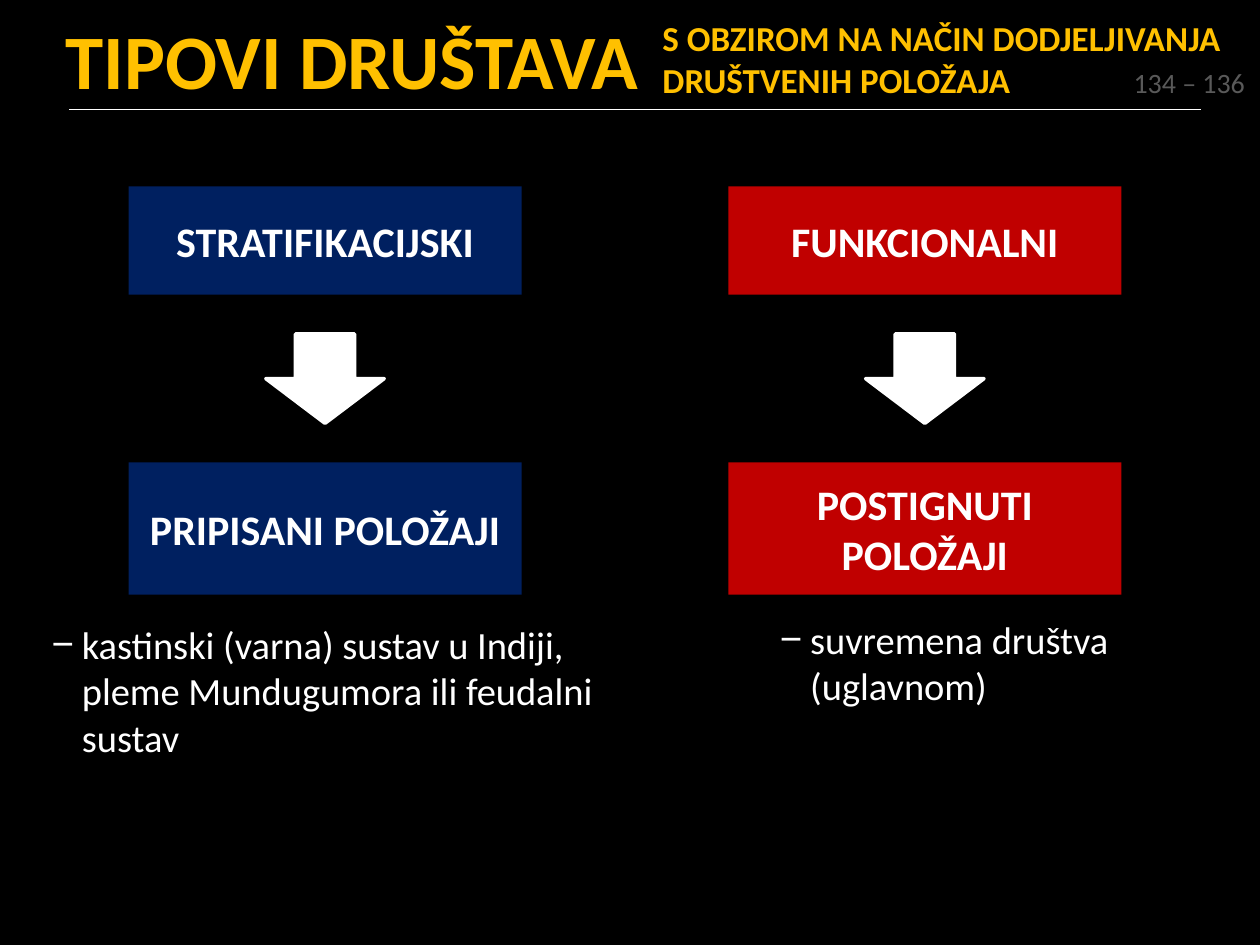
import dataclasses

import pptx
import pptx.dml.color
import pptx.enum.shapes
import pptx.enum.text
import pptx.util
from lxml import etree
from pptx.oxml.ns import qn

ALIGN = pptx.enum.text.PP_ALIGN
ANCHOR = pptx.enum.text.MSO_ANCHOR
AUTO_SIZE = pptx.enum.text.MSO_AUTO_SIZE
SHAPE = pptx.enum.shapes.MSO_SHAPE


@dataclasses.dataclass(frozen=True)
class Theme:
    font: str = "Calibri"
    background: str = "000000"
    light: str = "FFFFFF"
    accent: str = "FFC000"
    muted: str = "595959"
    stratified: str = "002060"
    functional: str = "C00000"
    title_size: int = 44
    box_size: int = 24
    list_size: int = 22
    subtitle_size: int = 20
    page_size: int = 16


class SlideBuilder:
    COLUMNS, ROWS = 100, 75

    def __init__(self, presentation, theme):
        self.theme = theme
        self.column = presentation.slide_width / self.COLUMNS
        self.row = presentation.slide_height / self.ROWS
        self.slide = presentation.slides.add_slide(presentation.slide_layouts[3])
        self.paint(self.slide.background.fill, theme.background)

    def area(self, left, top, width, height):
        return (round(left * self.column), round(top * self.row),
                round(width * self.column), round(height * self.row))

    def paint(self, fill, color):
        fill.solid()
        fill.fore_color.rgb = pptx.dml.color.RGBColor.from_string(color)

    def set_text(self, shape, text, size, color, bold=False, align=ALIGN.LEFT,
                 anchor=ANCHOR.MIDDLE, wrap=True):
        frame = shape.text_frame
        frame.text = text
        frame.word_wrap = wrap
        frame.auto_size = AUTO_SIZE.NONE
        frame.vertical_anchor = anchor
        paragraph = frame.paragraphs[0]
        paragraph.alignment = align
        paragraph.space_before = pptx.util.Pt(0)
        for run in paragraph.runs:
            run.font.name = self.theme.font
            run.font.size = pptx.util.Pt(size)
            run.font.bold = bold
            run.font.color.rgb = pptx.dml.color.RGBColor.from_string(color)
        return paragraph

    def placeholder(self, index, area):
        shape = self.slide.placeholders[index]
        shape.left, shape.top, shape.width, shape.height = self.area(*area)
        return shape

    def title(self, text, area):
        self.set_text(self.placeholder(0, area), text, self.theme.title_size,
                      self.theme.accent, bold=True)

    def dash_list(self, index, text, area):
        paragraph = self.set_text(self.placeholder(index, area), text, self.theme.list_size,
                                  self.theme.light, anchor=ANCHOR.TOP)
        properties = paragraph._p.get_or_add_pPr()
        indent = pptx.util.Inches(0.24)
        properties.set("marL", str(indent))
        properties.set("indent", str(-indent))
        etree.SubElement(properties, qn("a:buChar")).set("char", "−")

    def label(self, text, area, size, color, **style):
        shape = self.slide.shapes.add_textbox(*self.area(*area))
        self.set_text(shape, text, size, color, **style)

    def shape(self, kind, area, color):
        shape = self.slide.shapes.add_shape(kind, *self.area(*area))
        shape.shadow.inherit = False
        self.paint(shape.fill, color)
        return shape

    def box(self, text, area, color):
        shape = self.shape(SHAPE.RECTANGLE, area, color)
        shape.line.fill.background()
        self.set_text(shape, text, self.theme.box_size, self.theme.light,
                      bold=True, align=ALIGN.CENTER)

    def down_arrow(self, area):
        shape = self.shape(SHAPE.DOWN_ARROW, area, self.theme.light)
        self.paint(shape.line.fill, self.theme.light)
        shape.line.width = pptx.util.Pt(2)

    def rule(self, left, top, width):
        x, y, length, _ = self.area(left, top, width, 0)
        line = self.slide.shapes.add_connector(
            pptx.enum.shapes.MSO_CONNECTOR.STRAIGHT, x, y, x + length, y)
        self.paint(line.line.fill, self.theme.light)
        line.line.width = pptx.util.Pt(1)
        etree.SubElement(line._element.spPr, qn("a:effectLst"))


def main():
    presentation = pptx.Presentation()
    presentation.slide_width = pptx.util.Inches(10)
    presentation.slide_height = pptx.util.Inches(7.5)
    theme = Theme()
    builder = SlideBuilder(presentation, theme)

    builder.rule(5.5, 8.7, 89.8)
    builder.title("TIPOVI DRUŠTAVA", (4.2, -0.1, 88.8, 9.5))

    box_width, arrow_width = 31.2, 9.4
    societies = [
        (10.2, theme.stratified, "STRATIFIKACIJSKI", "PRIPISANI POLOŽAJI",
         "kastinski (varna) sustav u Indiji, pleme Mundugumora ili feudalni sustav",
         (3.1, 48.8, 47.7, 14.5)),
        (57.8, theme.functional, "FUNKCIONALNI", "POSTIGNUTI POLOŽAJI",
         "suvremena društva (uglavnom)", (60.9, 48.4, 33.6, 8.6)),
    ]
    for index, society in enumerate(societies, start=1):
        left, color, society_type, position, example, example_area = society
        builder.box(society_type, (left, 14.8, box_width, 8.6), color)
        builder.down_arrow((left + (box_width - arrow_width) / 2, 26.5, arrow_width, 7.1))
        builder.box(position, (left, 36.7, box_width, 10.5), color)
        builder.dash_list(index, example, example_area)

    builder.label("S OBZIROM NA NAČIN DODJELJIVANJA DRUŠTVENIH POLOŽAJA",
                  (51.6, -0.1, 48.4, 9.5), theme.subtitle_size, theme.accent, bold=True)
    builder.label("134 – 136", (88.8, 4.7, 11, 3.7), theme.page_size, theme.muted,
                  align=ALIGN.RIGHT, anchor=ANCHOR.TOP, wrap=False)

    presentation.save("out.pptx")


if __name__ == "__main__":
    main()
